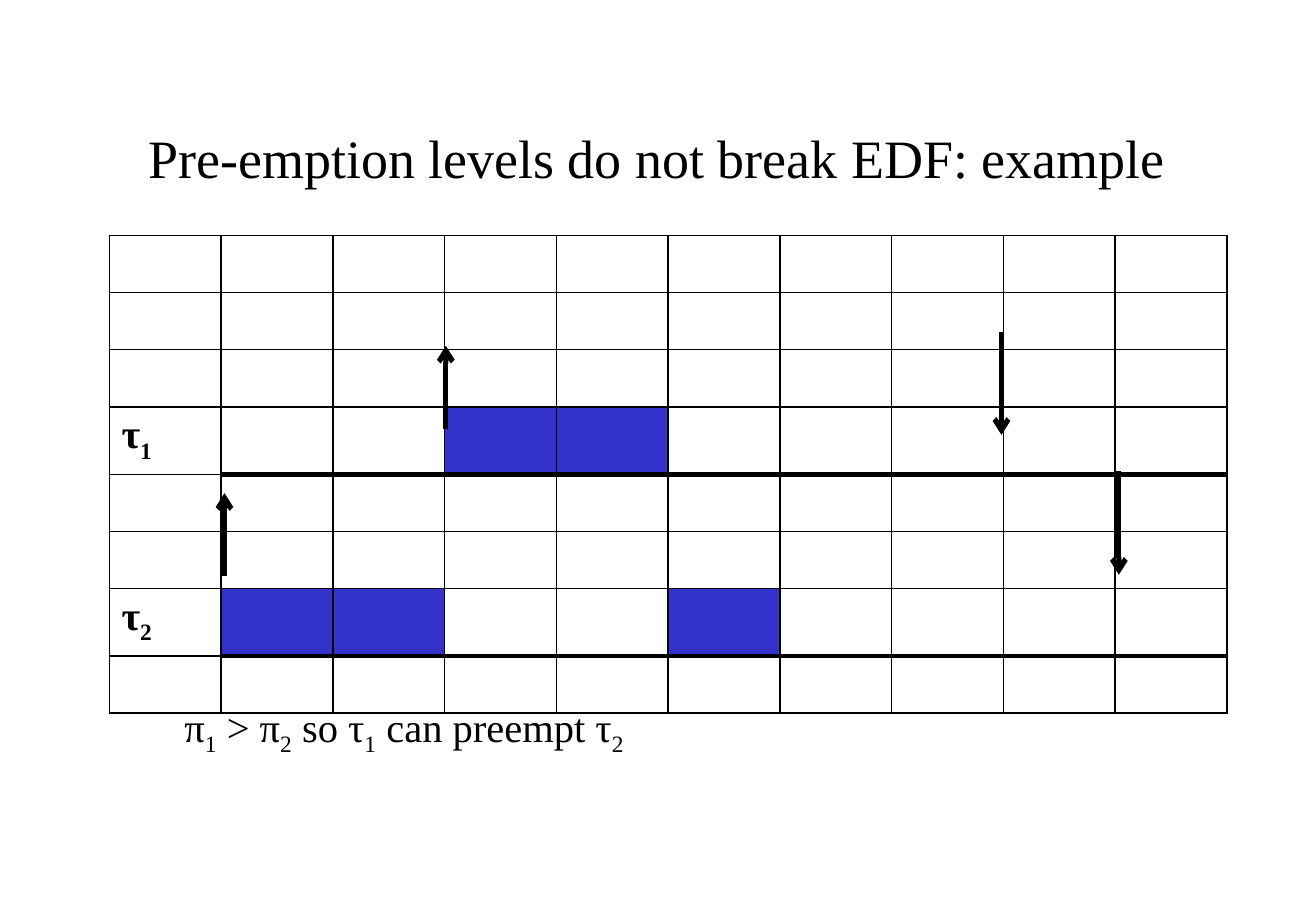
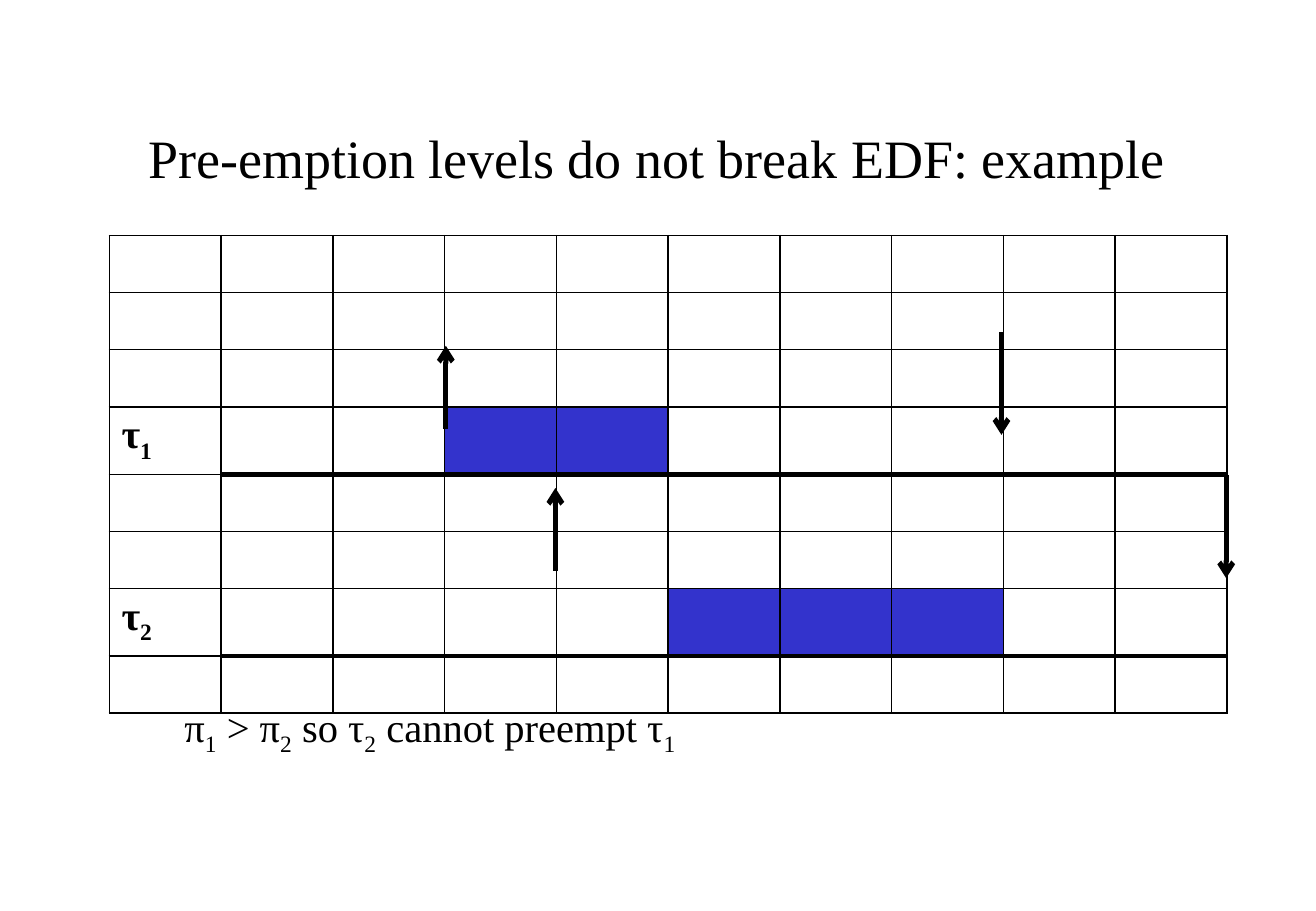
from dataclasses import dataclass
from typing import NamedTuple

from lxml import etree
from pptx import Presentation
from pptx.dml.color import RGBColor
from pptx.enum.shapes import MSO_CONNECTOR
from pptx.enum.text import MSO_ANCHOR, PP_ALIGN
from pptx.oxml.ns import qn
from pptx.util import Inches, Pt

STRAIGHT = MSO_CONNECTOR.STRAIGHT
TOP, MIDDLE = MSO_ANCHOR.TOP, MSO_ANCHOR.MIDDLE
LEFT, CENTER = PP_ALIGN.LEFT, PP_ALIGN.CENTER

SLIDE_W, SLIDE_H = 10.83, 7.5
FONT = "Times New Roman"
INK, PAPER, BUSY = "000000", "FFFFFF", "3333CC"
TITLE = "Pre-emption levels do not break EDF: example"
TITLE_SIZE, BODY_SIZE = 32, 24

GRID_LEFT, GRID_TOP = 0.9, 1.94
COLS, ROWS = 10, 8
COL_W, ROW_H, TASK_ROW_H = 0.92, 0.47, 0.52
THIN, HEAVY = 1, 3
TASK_ROWS = {3: "1", 6: "2"}
RELEASE_ROWS, DEADLINE_ROWS = -1.45, 1.81


class Run(NamedTuple):
    text: str
    subscript: bool = False


class Box(NamedTuple):
    left: float
    top: float
    width: float
    height: float


class Event(NamedTuple):
    col: float
    row: float
    rows: float


@dataclass
class Schedule:
    busy: dict[int, set[int]]
    events: list[Event]
    caption: list[Run]


TITLE_BOX = Box(0.81, 0.67, 9.2, 1.25)
CAPTION_BOX = Box(1.42, 5.73, 5.36, 0.5)


def color(value: str) -> RGBColor:
    return RGBColor.from_string(value)


def symbol(letter: str, index: str) -> list[Run]:
    return [Run(letter), Run(index, True)]


def caption(first: str, verb: str, second: str) -> list[Run]:
    return [*symbol("π", "1"), *symbol(" > π", "2"),
            *symbol(" so τ", first), *symbol(f" {verb} preempt τ", second)]


TASK_1_EVENTS = [Event(3.01, 3.38, RELEASE_ROWS), Event(7.98, 1.68, DEADLINE_ROWS)]
SCHEDULES = [
    Schedule(
        {3: {3, 4}, 6: {1, 2, 5}},
        [Event(1.03, 5.96, RELEASE_ROWS), *TASK_1_EVENTS, Event(9.03, 4.13, DEADLINE_ROWS)],
        caption("1", "can", "2"),
    ),
    Schedule(
        {3: {3, 4}, 6: {5, 6, 7}},
        [Event(3.99, 5.87, RELEASE_ROWS), *TASK_1_EVENTS, Event(9.99, 4.19, DEADLINE_ROWS)],
        caption("2", "cannot", "1"),
    ),
]


def write(paragraph, runs: list[Run], size: float, bold: bool = False) -> None:
    for part in runs:
        run = paragraph.add_run()
        run.text = part.text
        run.font.name, run.font.size, run.font.bold = FONT, Pt(size), bold
        run.font.color.rgb = color(INK)
        if part.subscript:
            run._r.get_or_add_rPr().set("baseline", "-25000")


def add_text(slide, box: Box, runs: list[Run], size: float, align=LEFT, anchor=TOP) -> None:
    frame = slide.shapes.add_textbox(*map(Inches, box)).text_frame
    frame.word_wrap = True
    frame.vertical_anchor = anchor
    frame.paragraphs[0].alignment = align
    write(frame.paragraphs[0], runs, size)


def set_borders(cell, top: float, bottom: float) -> None:
    properties = cell._tc.get_or_add_tcPr()
    sides = {"lnL": THIN, "lnR": THIN, "lnT": top, "lnB": bottom}
    for position, (side, width) in enumerate(sides.items()):
        border = etree.Element(qn(f"a:{side}"), w=str(Pt(width)))
        fill = etree.SubElement(border, qn("a:solidFill"))
        etree.SubElement(fill, qn("a:srgbClr"), val=INK)
        properties.insert(position, border)


def add_timeline(slide, busy: dict[int, set[int]]) -> None:
    heights = [TASK_ROW_H if row in TASK_ROWS else ROW_H for row in range(ROWS)]
    box = Box(GRID_LEFT, GRID_TOP, COLS * COL_W, sum(heights))
    table = slide.shapes.add_table(ROWS, COLS, *map(Inches, box)).table
    table.first_row = table.horz_banding = False
    for column in table.columns:
        column.width = Inches(COL_W)
    for row, height in enumerate(heights):
        table.rows[row].height = Inches(height)
        for col in range(COLS):
            cell = table.cell(row, col)
            cell.fill.solid()
            cell.fill.fore_color.rgb = color(BUSY if col in busy.get(row, ()) else PAPER)
            set_borders(cell,
                        HEAVY if col and row - 1 in TASK_ROWS else THIN,
                        HEAVY if col and row in TASK_ROWS else THIN)
    for row, task in TASK_ROWS.items():
        write(table.cell(row, 0).text_frame.paragraphs[0], symbol("τ", task), BODY_SIZE, True)


def add_event(slide, event: Event) -> None:
    x = Inches(GRID_LEFT + event.col * COL_W)
    start, end = (Inches(GRID_TOP + row * ROW_H) for row in (event.row, event.row + event.rows))
    arrow = slide.shapes.add_connector(STRAIGHT, x, start, x, end)
    arrow.line.color.rgb = color(INK)
    arrow.line.width = Pt(HEAVY)
    properties = arrow.element.spPr
    etree.SubElement(properties.find(qn("a:ln")), qn("a:tailEnd"), type="arrow")
    etree.SubElement(properties, qn("a:effectLst"))


def main() -> None:
    deck = Presentation()
    deck.slide_width, deck.slide_height = Inches(SLIDE_W), Inches(SLIDE_H)
    for schedule in SCHEDULES:
        slide = deck.slides.add_slide(deck.slide_layouts[6])
        add_text(slide, TITLE_BOX, [Run(TITLE)], TITLE_SIZE, CENTER, MIDDLE)
        add_timeline(slide, schedule.busy)
        for event in schedule.events:
            add_event(slide, event)
        add_text(slide, CAPTION_BOX, schedule.caption, BODY_SIZE)
    deck.save("out.pptx")


if __name__ == "__main__":
    main()
